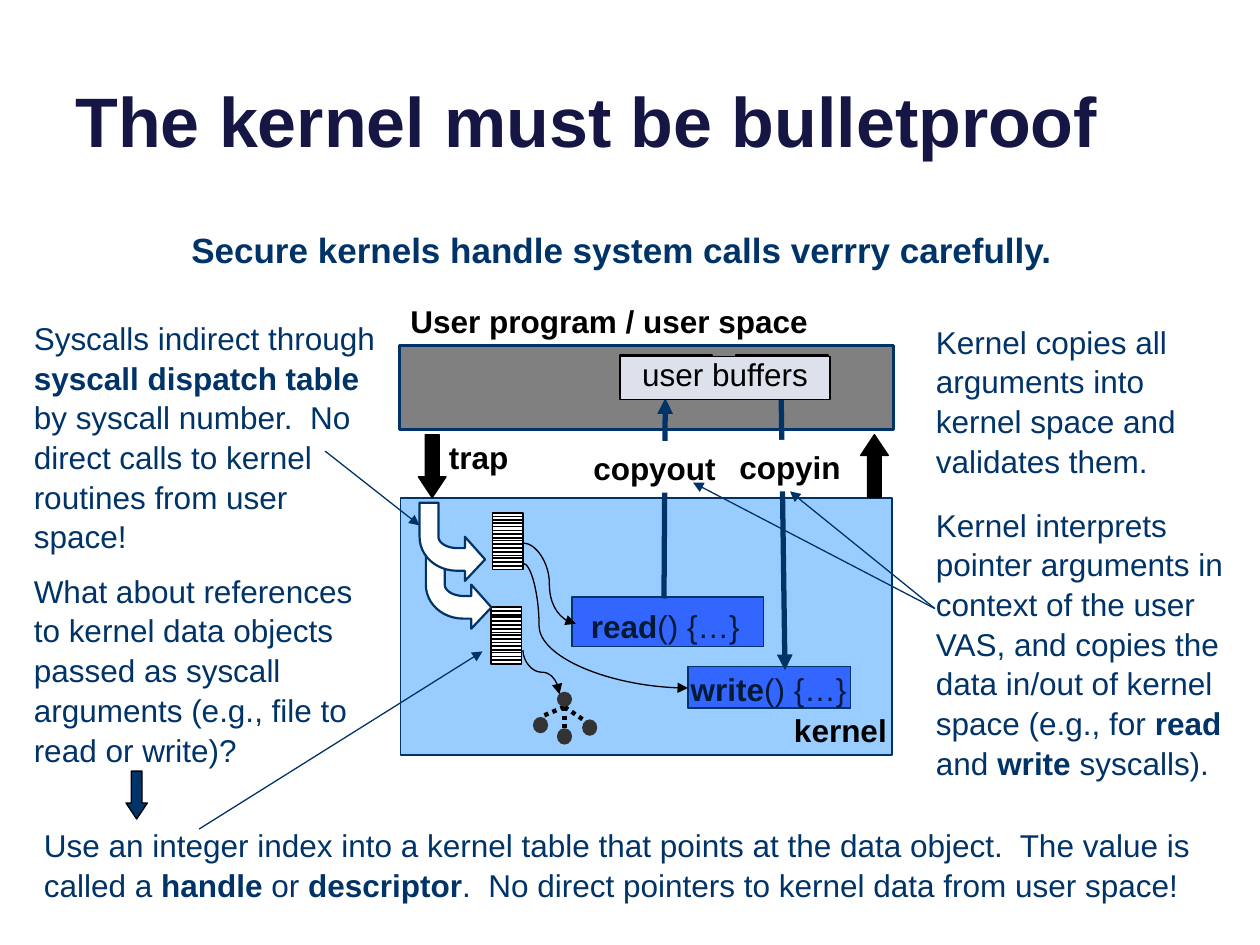
import pptx
import pptx.util
import pptx.oxml
import pptx.oxml.ns
from pptx.dml.color import RGBColor
from pptx.enum.dml import MSO_LINE
from pptx.enum.shapes import MSO_CONNECTOR, MSO_SHAPE
from pptx.enum.text import MSO_ANCHOR, PP_ALIGN

PX = 9144  # EMU; 100 px to the inch
COLORS = {
    "title": "161645", "navy": "003367", "ink": "001934", "black": "000000",
    "white": "FFFFFF", "sky": "99CCFF", "gray": "808080", "blue": "3366FF",
    "pale": "DCE1EC", "dark": "333333",
}
PROCESS = MSO_SHAPE.FLOWCHART_PROCESS


def cubic(p0, p1, p2, p3, steps=12):
    """Points on a Bezier curve, without its first point."""
    points = []
    for i in range(1, steps + 1):
        t = i / steps
        u = 1 - t
        points.append(tuple(
            u**3 * a + 3 * u * u * t * b + 3 * u * t * t * c + t**3 * d
            for a, b, c, d in zip(p0, p1, p2, p3)))
    return points


class Slide:
    font = "Arial"
    size = 18
    spacing = 1.05

    def __init__(self, prs):
        self.s = prs.slides.add_slide(prs.slide_layouts[6])

    def color(self, name):
        return RGBColor.from_string(COLORS[name])

    def paint(self, sp, fill, line, width):
        sp.shadow.inherit = False
        sp.fill.solid()
        sp.fill.fore_color.rgb = self.color(fill)
        if line:
            sp.line.color.rgb = self.color(line)
            sp.line.width = pptx.util.Pt(width)
        else:
            sp.line.fill.background()

    def shape(self, kind, x, y, w, h, fill, line=None, width=1, adj=()):
        sp = self.s.shapes.add_shape(kind, x * PX, y * PX, w * PX, h * PX)
        for i, value in enumerate(adj):
            sp.adjustments[i] = value
        self.paint(sp, fill, line, width)

    def text(self, x, y, w, h, text, color="navy", size=size, spacing=spacing,
             anchor=MSO_ANCHOR.MIDDLE, align=PP_ALIGN.LEFT, fill=None):
        """Add a text box; words between ** marks are bold."""
        sp = self.s.shapes.add_textbox(x * PX, y * PX, w * PX, h * PX)
        if fill:
            sp.fill.solid()
            sp.fill.fore_color.rgb = self.color(fill)
        tf = sp.text_frame
        tf.word_wrap = align != PP_ALIGN.CENTER
        tf.vertical_anchor = anchor
        p = tf.paragraphs[0]
        p.alignment = align
        p.line_spacing = spacing
        for i, part in enumerate(text.split("**")):
            if part:
                r = p.add_run()
                r.text = part
                r.font.name = self.font
                r.font.size = pptx.util.Pt(size)
                r.font.bold = i % 2 == 1
                r.font.color.rgb = self.color(color)

    def label(self, x, y, w, h, text, color="black", fill=None):
        self.text(x, y, w, h, text, color, anchor=MSO_ANCHOR.TOP,
                  align=PP_ALIGN.CENTER, fill=fill)

    def line(self, x1, y1, x2, y2, color="navy", width=0.75, arrow=True,
             dash=None, kind=MSO_CONNECTOR.STRAIGHT):
        c = self.s.shapes.add_connector(kind, x1 * PX, y1 * PX, x2 * PX, y2 * PX)
        c.line.color.rgb = self.color(color)
        c.line.width = pptx.util.Pt(width)
        if dash:
            c.line.dash_style = dash
        if arrow:
            pptx.oxml.ns.qn("a:tailEnd")
            end = pptx.oxml.parse_xml(
                '<a:tailEnd %s type="triangle"/>' % pptx.oxml.ns.nsdecls("a"))
            c.line._get_or_add_ln().append(end)
        c._element.spPr.append(pptx.oxml.parse_xml(
            "<a:effectLst %s/>" % pptx.oxml.ns.nsdecls("a")))
        return c

    def curve(self, x1, y1, x2, y2, bend=50000, rot=0):
        c = self.line(x1, y1, x2, y2, "black", kind=MSO_CONNECTOR.CURVE)
        spPr = c._element.spPr
        if rot:
            spPr.find(pptx.oxml.ns.qn("a:xfrm")).set("rot", str(rot * 60000))
        av = spPr.find(".//" + pptx.oxml.ns.qn("a:avLst"))
        av.append(pptx.oxml.parse_xml(
            '<a:gd %s name="adj1" fmla="val %d"/>' % (pptx.oxml.ns.nsdecls("a"), bend)))

    def table_stack(self, x, y, rows=16, pitch=2.8):
        for i in range(rows):
            self.shape(PROCESS, x, y + round(i * pitch), 24, 3, "white", "black")

    def bent_arrow(self, x, y):
        points = [(52, 45), (36, 62), (36, 54), (30, 54)]
        points += cubic((30, 54), (13, 54), (0, 42), (0, 27))
        points += [(0, 0), (15, 0), (15, 27)]
        points += cubic((15, 27), (15, 32), (22, 36), (30, 36))
        points += [(36, 36), (36, 27)]
        points = [((x + dx) * PX, (y + dy) * PX) for dx, dy in points]
        fb = self.s.shapes.build_freeform(*points[0])
        fb.add_line_segments(points[1:], close=True)
        self.paint(fb.convert_to_shape(), "white", "navy", 1.25)


def main():
    prs = pptx.Presentation()
    prs.slide_width, prs.slide_height = 1000 * PX, 750 * PX
    s = Slide(prs)

    s.text(50, -37, 900, 170, "**The kernel must be bulletproof**", "title", 40,
           spacing=1, anchor=MSO_ANCHOR.BOTTOM)

    # Kernel and user space
    s.shape(PROCESS, 318, 395, 390, 204, "sky", "navy")
    s.shape(MSO_SHAPE.DOWN_ARROW, 332, 345, 22, 50, "black", "black", 0.75, (0.5, 0.75))
    s.shape(MSO_SHAPE.UP_ARROW, 683, 345, 22, 50, "black", "black", 0.75, (0.5, 0.75))
    s.shape(MSO_SHAPE.RECTANGLE, 317, 274, 392, 67, "gray", "navy", 1.5)
    s.label(345, 341, 70, 41, "**trap**")
    s.shape(PROCESS, 492, 282, 73, 34, "pale", "black")
    s.table_stack(391, 407)
    s.text(17, 250, 300, 192, "Syscalls indirect through **syscall dispatch table **"
           "by syscall number.  No direct calls to kernel routines from user space!")

    # System call routines
    s.shape(PROCESS, 454, 474, 152, 39, "blue", "navy")
    s.label(457, 475, 142, 40, "**read**() {…}", "ink")
    s.shape(PROCESS, 546, 529, 129, 33, "blue", "navy")
    s.label(538, 525, 144, 40, "**write**() {…}", "ink")
    s.curve(415, 431, 457, 495)
    s.curve(415, 447, 546, 546, bend=9800)
    s.line(527, 475, 528, 316, width=3)
    s.shape(PROCESS, 584, 282, 73, 34, "pale", "black")
    s.line(620, 316, 623, 532, width=3)
    s.label(458, 350, 123, 41, "**copyout**", fill="white")
    s.label(573, 349, 108, 41, "**copyin**", fill="white")

    # Descriptor table and the data objects it points at
    s.table_stack(390, 482)
    for x, y in ((423, 569), (442, 578), (462, 571)):
        s.shape(MSO_SHAPE.OVAL, x, y, 12, 13, "dark")
    for x, y in ((429, 569), (448, 578), (464, 572)):
        s.line(448, 561, x, y, "black", 2.5, arrow=False, dash=MSO_LINE.ROUND_DOT)
    s.shape(MSO_SHAPE.OVAL, 442, 549, 12, 12, "dark")
    s.curve(447, 519, 412, 548, rot=270)
    s.bent_arrow(338, 437)
    s.bent_arrow(333, 399)

    # Explanations
    s.text(17, 450, 300, 162, "What about references to kernel data objects passed as "
           "syscall arguments (e.g., file to read or write)?")
    s.text(25, 650, 950, 71, "Use an integer index into a kernel table that points at "
           "the data object.  The value is called a **handle** or **descriptor**.  "
           "No direct pointers to kernel data from user space!")
    s.text(733, 399, 258, 222, "Kernel interprets pointer arguments in context of the "
           "user VAS, and copies the data in/out of kernel space (e.g., for **read** "
           "and **write **syscalls).")
    s.text(733, 252, 258, 131,
           "Kernel copies all arguments into kernel space and validates them.")
    s.text(142, 175, 733, 44,
           "**Secure kernels handle system calls verrry carefully.**", size=20)
    for ends in ((158, 658, 383, 517), (258, 358, 333, 417),
                 (742, 483, 627, 390), (742, 483, 550, 383)):
        s.line(*ends)

    s.shape(PROCESS, 492, 283, 167, 34, "pale", "black")
    s.label(492, 275, 167, 41, "user buffers")
    s.label(300, 233, 367, 41, "**User program / user space**")
    s.label(567, 558, 200, 41, "**kernel**")
    s.shape(MSO_SHAPE.DOWN_ARROW, 100, 612, 17, 38, "navy", "black", 0.75, (0.5, 0.75))

    prs.save("out.pptx")


if __name__ == "__main__":
    main()
